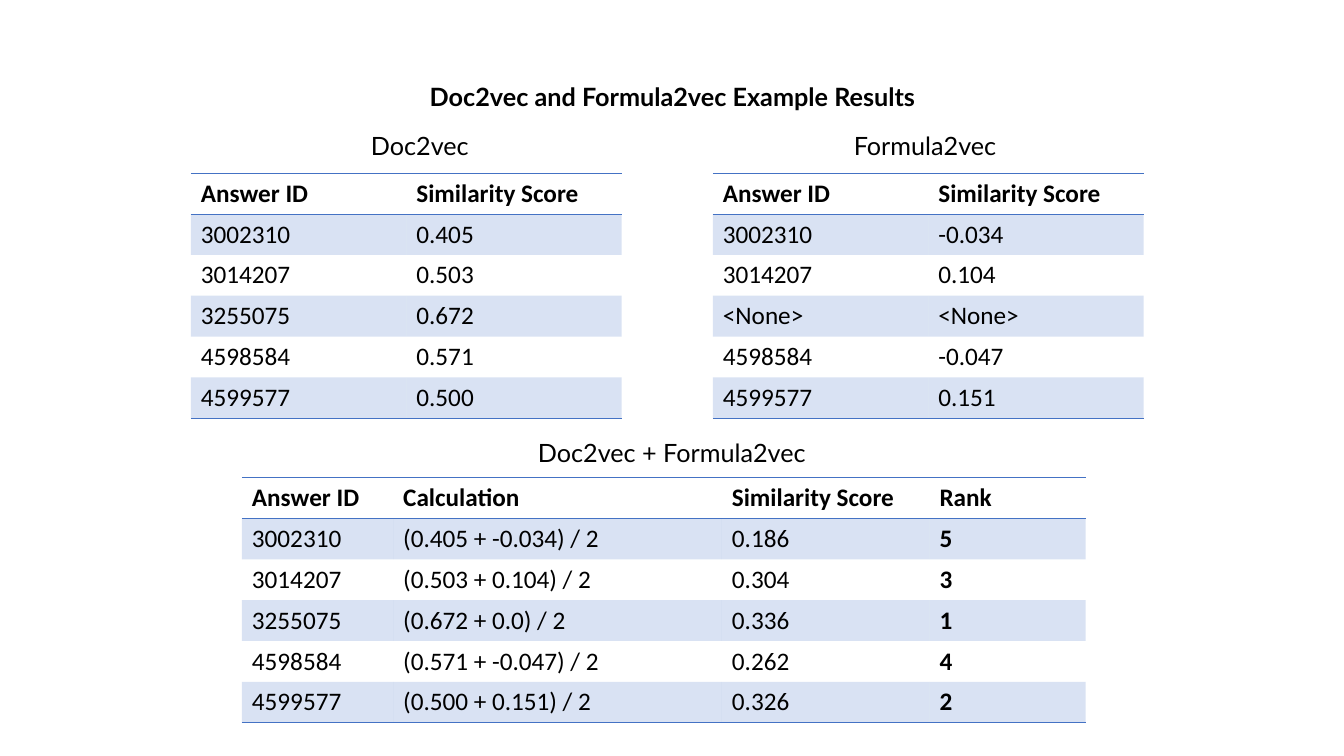
from lxml.etree import SubElement
from pptx import Presentation
from pptx.dml.color import RGBColor as RGB
from pptx.enum.text import MSO_AUTO_SIZE as AutoSize, PP_ALIGN as Align
from pptx.oxml.ns import qn
from pptx.util import Inches, Pt

COLORS = {"text": "000000", "accent": "4472C4"}
NO_STYLE = "{2D5ABB26-0587-4C30-8999-92F81FD0307C}"
ROW = 5.4
IDS = ["3002310", "3014207", "3255075", "4598584", "4599577"]


class Deck:
    """Holds the style and current slide; lengths are percentages of its size."""

    def __init__(self, prs):
        self.prs = prs
        self.size = Pt(18)
        self.s = prs.slides.add_slide(prs.slide_layouts[6])

    def x(self, share):
        return int(self.prs.slide_width * share / 100)

    def y(self, share):
        return int(self.prs.slide_height * share / 100)

    def run(self, p, text, font, bold=False):
        r = p.add_run()
        r.text = text
        r.font.name = font
        r.font.size = self.size
        r.font.bold = bold
        r.font.color.rgb = RGB.from_string(COLORS["text"])

    def label(self, text, left, top, width, bold=False):
        sp = self.s.shapes.add_textbox(
            self.x(left), self.y(top), self.x(width), self.y(5.33))
        tf = sp.text_frame
        tf.word_wrap = True
        tf.auto_size = AutoSize.SHAPE_TO_FIT_TEXT
        p = tf.paragraphs[0]
        p.alignment = Align.CENTER
        self.run(p, text, "Lato", bold)

    def border(self, cell, side):
        ln = SubElement(cell._tc.get_or_add_tcPr(), qn(f"a:ln{side}"), w=str(Pt(1)))
        fill = SubElement(ln, qn("a:solidFill"))
        SubElement(fill, qn("a:srgbClr"), val=COLORS["accent"])

    def shade(self, cell):
        cell.fill.solid()
        cell.fill.fore_color.rgb = RGB.from_string(COLORS["accent"])
        for clr in cell._tc.tcPr.findall(f"{qn('a:solidFill')}/{qn('a:srgbClr')}"):
            SubElement(clr, qn("a:alpha"), val="20000")

    def table(self, left, top, widths, rows, bold_cols=()):
        frame = self.s.shapes.add_table(
            len(rows), len(widths), self.x(left), self.y(top),
            self.x(sum(widths)), self.y(ROW * len(rows)))
        tbl = frame.table
        for style in frame.element.iter(qn("a:tableStyleId")):
            style.text = NO_STYLE
        for col, width in zip(tbl.columns, widths):
            col.width = self.x(width)
        for i, row in enumerate(rows):
            tbl.rows[i].height = self.y(ROW)
            for j, text in enumerate(row):
                cell = tbl.cell(i, j)
                self.run(cell.text_frame.paragraphs[0], text, "Calibri",
                         i == 0 or j in bold_cols)
                if i == 0:
                    self.border(cell, "T")
                if i in (0, len(rows) - 1):
                    self.border(cell, "B")
                if i % 2:
                    self.shade(cell)
                else:
                    cell.fill.background()


def main():
    prs = Presentation()
    prs.slide_width, prs.slide_height = Inches(13.33), Inches(7.5)
    deck = Deck(prs)

    deck.label("Doc2vec and Formula2vec Example Results", 12.45, 10.13, 75.17, True)
    score_tables = [
        ("Doc2vec", 12.45, 14.2, IDS,
         ["0.405", "0.503", "0.672", "0.571", "0.500"]),
        ("Formula2vec", 50.04, 53.04, IDS[:2] + ["<None>"] + IDS[3:],
         ["-0.034", "0.104", "<None>", "-0.047", "0.151"]),
    ]
    for title, title_left, left, ids, scores in score_tables:
        deck.label(title, title_left, 16.53, 37.58)
        deck.table(left, 22.93, [16.03] * 2,
                   [("Answer ID", "Similarity Score"), *zip(ids, scores)])

    deck.label("Doc2vec + Formula2vec", 31.2, 57.2, 37.58)
    calculations = ["(0.405 + -0.034) / 2", "(0.503 + 0.104) / 2",
                    "(0.672 + 0.0) / 2", "(0.571 + -0.047) / 2",
                    "(0.500 + 0.151) / 2"]
    averages = ["0.186", "0.304", "0.336", "0.262", "0.326"]
    deck.table(18, 63.2, [11.25, 24.46, 15.45, 11.63],
               [("Answer ID", "Calculation", "Similarity Score", "Rank"),
                *zip(IDS, calculations, averages, "53142")], bold_cols=(3,))
    prs.save("out.pptx")


if __name__ == "__main__":
    main()
